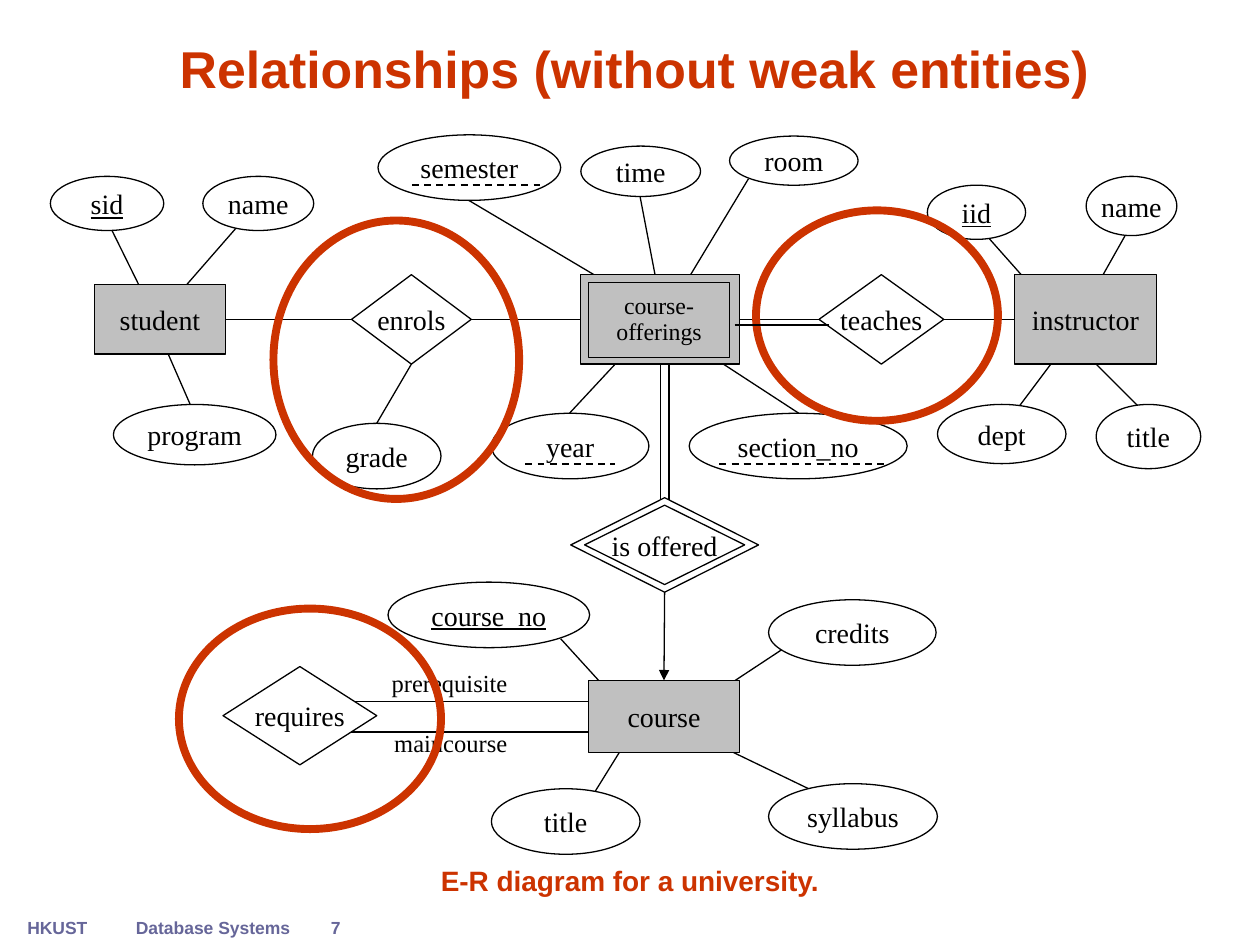
from lxml import etree
from pptx import Presentation
from pptx.dml.color import RGBColor
from pptx.enum.dml import MSO_LINE
from pptx.enum.shapes import MSO_CONNECTOR, MSO_SHAPE
from pptx.enum.text import MSO_ANCHOR, MSO_AUTO_SIZE, PP_ALIGN
from pptx.oxml.ns import qn
from pptx.util import Inches, Pt

BLACK = RGBColor(0x00, 0x00, 0x00)
WHITE = RGBColor(0xFF, 0xFF, 0xFF)
GRAY = RGBColor(0xC0, 0xC0, 0xC0)
RED = RGBColor(0xCC, 0x33, 0x00)
SLATE = RGBColor(0x66, 0x66, 0x99)
SANS, SERIF = "Arial", "Times New Roman"
OVAL, RECT = MSO_SHAPE.OVAL, MSO_SHAPE.RECTANGLE
PROCESS, DECISION = MSO_SHAPE.FLOWCHART_PROCESS, MSO_SHAPE.FLOWCHART_DECISION
DIAMOND = MSO_SHAPE.DIAMOND
STRAIGHT, DASH = MSO_CONNECTOR.STRAIGHT, MSO_LINE.DASH
LEFT, CENTER = PP_ALIGN.LEFT, PP_ALIGN.CENTER
TOP_ANCHOR, MIDDLE, BOTTOM_ANCHOR = MSO_ANCHOR.TOP, MSO_ANCHOR.MIDDLE, MSO_ANCHOR.BOTTOM
TOP, LEFT_SIDE, BOTTOM, RIGHT_SIDE = range(4)

# name, box, link start, link end, underlined
ATTRIBUTES = [
    ("sid", (0.4, 1.4, 0.9, 0.43), (0.83, 1.71), (1.22, 2.5), True),
    ("name", (1.61, 1.4, 0.88, 0.43), (1.9, 1.78), (1.35, 2.41), False),
    ("program", (0.9, 3.21, 1.29, 0.48), (1.61, 3.44), (1.3, 2.73), False),
    ("semester", (3, 1.07, 1.45, 0.52), (3.72, 1.59), (5.22, 2.48), False),
    ("time", (4.61, 1.16, 0.95, 0.4), (5.08, 1.56), (5.26, 2.5), False),
    ("room", (5.79, 1.08, 1.02, 0.39), (5.94, 1.42), (5.27, 2.53), False),
    ("year", (3.9, 3.28, 1.25, 0.52), (4.52, 3.28), (5.18, 2.57), False),
    ("section_no", (5.47, 3.28, 1.73, 0.52), (6.34, 3.28), (5.25, 2.57), False),
    ("iid", (7.36, 1.47, 0.78, 0.43), (7.75, 1.78), (8.38, 2.49), True),
    ("name", (8.62, 1.4, 0.72, 0.47), (9.02, 1.71), (8.62, 2.42), False),
    ("dept", (7.44, 3.21, 1.02, 0.47), (7.89, 3.49), (8.46, 2.73), False),
    ("title", (8.7, 3.21, 0.83, 0.51), (9.33, 3.52), (8.54, 2.73), False),
    ("course_no", (3.08, 4.62, 1.6, 0.52), (4.45, 5.07), (5.27, 5.97), True),
    ("credits", (6.1, 4.76, 1.33, 0.52), (6.29, 5.1), (5.79, 5.43), False),
    ("title", (3.9, 6.26, 1.18, 0.52), (4.6, 6.48), (5.27, 5.4), False),
    ("syllabus", (6.1, 6.22, 1.34, 0.52), (6.48, 6.29), (5.63, 5.88), False),
]
# name, box, height of its link to course
ROLES = [
    ("prerequisite", (3.01, 5.25, 1.43, 0.34), 5.57),
    ("maincourse", (3.03, 5.73, 1.42, 0.34), 5.81),
]
NODES = [
    ("student", PROCESS, (0.75, 2.26, 1.04, 0.55)),
    ("instructor", PROCESS, (8.05, 2.18, 1.13, 0.71)),
    ("course", PROCESS, (4.67, 5.4, 1.2, 0.57)),
    ("enrols", DECISION, (2.79, 2.18, 0.95, 0.71)),
    ("teaches", DECISION, (6.5, 2.18, 0.99, 0.71)),
    ("requires", DECISION, (1.77, 5.29, 1.22, 0.78)),
]
PARTIAL_KEYS = [(3.27, 4.29, 1.47), (4.17, 4.88, 3.68), (5.71, 7.05, 3.68)]
HIGHLIGHTS = [(2.17, 1.75, 1.95, 2.21), (1.42, 4.83, 2.08, 1.75), (6, 1.67, 1.92, 1.67)]
FOOTERS = [
    ("HKUST", (0.12, 7.23, 0.67, 0.27), CENTER),
    ("Database Systems", (0.98, 7.23, 1.42, 0.27), LEFT),
    ("7", (2.23, 7.23, 0.87, 0.27), CENTER),
]


class Diagram:
    """Holds the current page and the style of the entity-relationship diagram."""

    def __init__(self, page):
        self.page = page

    def add_text(self, frame, text, size=16, font=SERIF, color=BLACK, bold=False,
                 underline=False, align=CENTER, anchor=MIDDLE, wrap=False, spacing=None):
        frame.word_wrap = wrap
        frame.auto_size = MSO_AUTO_SIZE.NONE
        frame.vertical_anchor = anchor
        para = frame.paragraphs[0]
        para.alignment = align
        para.line_spacing = spacing
        span = para.add_run()
        span.text = text
        span.font.size = Pt(size)
        span.font.name = font
        span.font.color.rgb = color
        span.font.bold = bold
        span.font.underline = underline

    def title(self, text, box):
        holder = self.page.shapes.title
        holder.left, holder.top, holder.width, holder.height = map(Inches, box)
        self.add_text(holder.text_frame, text, 29.6, SANS, RED, bold=True,
                      anchor=BOTTOM_ANCHOR, wrap=True, spacing=0.9)

    def label(self, text, box, **style):
        holder = self.page.shapes.add_textbox(*map(Inches, box))
        self.add_text(holder.text_frame, text, **style)

    def node(self, kind, box, fill, text="", line=BLACK, weight=0.75, **style):
        shape = self.page.shapes.add_shape(kind, *map(Inches, box))
        shape.shadow.inherit = False
        if fill is None:
            shape.fill.background()
        else:
            shape.fill.solid()
            shape.fill.fore_color.rgb = fill
        shape.line.color.rgb = line
        shape.line.width = Pt(weight)
        if text:
            self.add_text(shape.text_frame, text, **style)
        return shape

    def line(self, start=(0, 0), end=(0, 0), weight=0.75):
        link = self.page.shapes.add_connector(STRAIGHT, *map(Inches, (*start, *end)))
        link.line.color.rgb = BLACK
        link.line.width = Pt(weight)
        etree.SubElement(link._element.spPr, qn("a:effectLst"))
        return link

    def join(self, first, first_side, second, second_side, arrow=False):
        link = self.line()
        link.begin_connect(first, first_side)
        link.end_connect(second, second_side)
        if arrow:
            outline = link._element.spPr.find(qn("a:ln"))
            etree.SubElement(outline, qn("a:tailEnd"), type="triangle")


def main():
    deck = Presentation()
    deck.slide_width, deck.slide_height = Inches(10), Inches(7.5)
    diagram = Diagram(deck.slides.add_slide(deck.slide_layouts[5]))

    diagram.title("Relationships (without weak entities)", (0.33, 0.22, 9.42, 0.62))
    for text, box, align in FOOTERS:
        diagram.label(text, box, size=10, font=SANS, color=SLATE, bold=True,
                      align=align, anchor=TOP_ANCHOR)
    diagram.label("E-R diagram for a university.", (0.75, 6.66, 8.5, 0.51), font=SANS,
                  color=RED, bold=True, anchor=BOTTOM_ANCHOR, wrap=True)

    # Links whose ends are covered by the nodes come first
    for _, _, start, end, _ in ATTRIBUTES:
        diagram.line(start, end)
    for text, box, height in ROLES:
        diagram.line((4.75, height), (2.78, height))
        diagram.label(text, box, size=14, align=LEFT, anchor=TOP_ANCHOR, wrap=True)
    for x in (5.24, 5.31):
        diagram.line((x, 4.07), (x, 2.81))

    for text, box, _, _, underline in ATTRIBUTES:
        diagram.node(OVAL, box, WHITE, text, underline=underline)
    for left, right, y in PARTIAL_KEYS:
        diagram.line((left, y), (right, y), 1).line.dash_style = DASH

    nodes = {}
    for text, kind, box in NODES:
        fill = GRAY if kind == PROCESS else WHITE
        nodes[text] = diagram.node(kind, box, fill, text)
    offerings = diagram.node(RECT, (4.61, 2.18, 1.26, 0.71), GRAY)
    diagram.node(RECT, (4.67, 2.24, 1.12, 0.6), GRAY, "course- offerings",
                 size=13.6, wrap=True, spacing=0.9)
    offered = diagram.node(DIAMOND, (4.53, 3.95, 1.49, 0.75), WHITE)
    diagram.node(DECISION, (4.64, 4.01, 1.27, 0.63), WHITE, "is offered")
    grade = diagram.node(OVAL, (2.48, 3.36, 1.02, 0.52), WHITE, "grade")

    diagram.join(nodes["student"], RIGHT_SIDE, nodes["enrols"], LEFT_SIDE)
    diagram.join(nodes["enrols"], RIGHT_SIDE, offerings, LEFT_SIDE)
    diagram.join(offerings, RIGHT_SIDE, nodes["teaches"], LEFT_SIDE)
    diagram.join(nodes["teaches"], RIGHT_SIDE, nodes["instructor"], LEFT_SIDE)
    diagram.join(nodes["enrols"], BOTTOM, grade, TOP)
    diagram.join(offered, BOTTOM, nodes["course"], TOP, arrow=True)

    for box in HIGHLIGHTS:
        diagram.node(OVAL, box, None, line=RED, weight=4.5)
    diagram.line((5.83, 2.58), (6.58, 2.58))
    deck.save("out.pptx")


if __name__ == "__main__":
    main()
